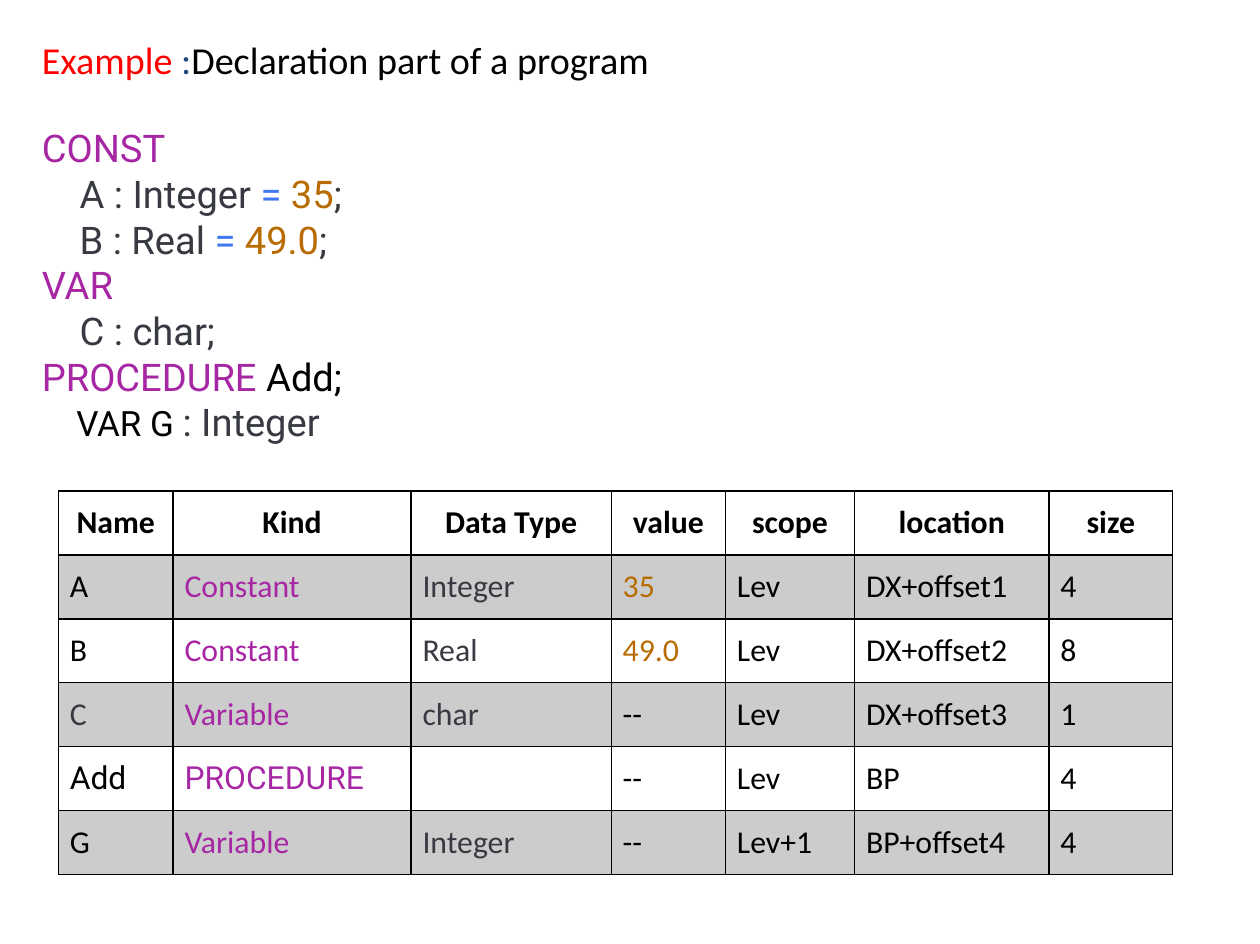
"""Build a slide showing a declaration part and its symbol table."""
from lxml.etree import SubElement
from pptx import Presentation
from pptx.dml.color import RGBColor
from pptx.enum.text import MSO_ANCHOR, MSO_AUTO_SIZE, PP_ALIGN
from pptx.oxml.ns import qn
from pptx.util import Cm, Pt

COLORS = {
    "black": "000000", "red": "FF0000", "navy": "1F497D", "keyword": "A626A4",
    "code": "383A42", "operator": "4078F2", "number": "B76B01", "band": "CCCCCC",
}
TITLE = [("Example", "red"), (" :", "navy"), ("Declaration part of a program", "black")]
CODE = [
    [("CONST", "keyword")],
    [("    A : Integer ", "code"), ("= ", "operator"), ("35", "number"), (";", "code")],
    [("    B : Real ", "code"), ("= ", "operator"), ("49.0", "number"), (";", "code")],
    [("VAR", "keyword")],
    [("    C : char;", "code")],
    [("PROCEDURE", "keyword"), (" Add;", "black")],
    [("    VAR G ", "black", 22), (": Integer", "code")],
]
SYMBOLS = [
    ("Name", "Kind", "Data Type", "value", "scope", "location", "size"),
    ("A", "Constant", "Integer", "35", "Lev", "DX+offset1", "4"),
    ("B", "Constant", "Real", "49.0", "Lev", "DX+offset2", "8"),
    ("C", "Variable", "char", "--", "Lev", "DX+offset3", "1"),
    ("Add", "PROCEDURE", "", "--", "Lev", "BP", "4"),
    ("G", "Variable", "Integer", "--", "Lev+1", "BP+offset4", "4"),
]
COLUMN_WIDTHS = (2.55, 5.29, 4.45, 2.54, 2.87, 4.32, 2.75)
COLUMN_COLORS = ("black", "keyword", "code", "number", "black", "black", "black")
EXCEPTIONS = {"C": "code", "--": "black"}
ROBOTO_CELLS = ("Add", "PROCEDURE")
ROW_HEIGHT = 1.42


def add_run(paragraph, text, color, size=24, font="Roboto", bold=False):
    run = paragraph.add_run()
    run.text = text
    run.font.name = font
    run.font.size = Pt(size)
    run.font.bold = bold
    run.font.color.rgb = RGBColor.from_string(COLORS[color])


def place(shape, top, height):
    shape.left, shape.top = Cm(0.65), Cm(top)
    shape.width, shape.height = Cm(23.11), Cm(height)
    frame = shape.text_frame
    frame.word_wrap = True
    frame.auto_size = MSO_AUTO_SIZE.NONE
    frame.vertical_anchor = MSO_ANCHOR.TOP
    frame.margin_left = frame.margin_right = Cm(0.28)
    frame.margin_top = frame.margin_bottom = Cm(0.15)
    return frame


def set_borders(cell, top, bottom):
    properties = cell._tc.get_or_add_tcPr()
    for side, width in (("L", 1), ("R", 1), ("T", top), ("B", bottom)):
        line = SubElement(properties, qn(f"a:ln{side}"), w=str(Pt(width)))
        fill = SubElement(line, qn("a:solidFill"))
        SubElement(fill, qn("a:srgbClr"), val=COLORS["black"])


def add_title(slide):
    paragraph = place(slide.shapes.title, 0.67, 1.35).paragraphs[0]
    paragraph.alignment = PP_ALIGN.LEFT
    for text, color in TITLE:
        add_run(paragraph, text, color, font="Calibri")


def add_code(slide):
    frame = place(slide.placeholders[1], 2.62, 7.46)
    for index, line in enumerate(CODE):
        paragraph = frame.add_paragraph() if index else frame.paragraphs[0]
        properties = paragraph._p.get_or_add_pPr()
        properties.set("marL", "0")
        properties.set("indent", "0")
        SubElement(properties, qn("a:buNone"))
        paragraph.space_before = Pt(0)
        paragraph.line_spacing = 1.0
        for part in line:
            add_run(paragraph, *part)


def fill_cell(cell, text, row, column):
    header = row == 0
    set_borders(cell, 2 if row == 1 else 1, 2 if header else 1)
    if row % 2:
        cell.fill.solid()
        cell.fill.fore_color.rgb = RGBColor.from_string(COLORS["band"])
    else:
        cell.fill.background()
    cell.vertical_anchor = MSO_ANCHOR.MIDDLE
    paragraph = cell.text_frame.paragraphs[0]
    paragraph.alignment = PP_ALIGN.CENTER if header else PP_ALIGN.LEFT
    if text:
        color = "black" if header else EXCEPTIONS.get(text, COLUMN_COLORS[column])
        font = "Roboto" if text in ROBOTO_CELLS else "Calibri"
        add_run(paragraph, text, color, 20, font, header)


def add_symbol_table(slide):
    table = slide.shapes.add_table(
        len(SYMBOLS), len(COLUMN_WIDTHS), Cm(1.3), Cm(10.92),
        Cm(sum(COLUMN_WIDTHS)), Cm(ROW_HEIGHT * len(SYMBOLS))).table
    table.horz_banding = False
    for column, width in zip(table.columns, COLUMN_WIDTHS):
        column.width = Cm(width)
    for row, values in enumerate(SYMBOLS):
        table.rows[row].height = Cm(ROW_HEIGHT)
        for column, text in enumerate(values):
            fill_cell(table.cell(row, column), text, row, column)


def main():
    presentation = Presentation()
    presentation.slide_width, presentation.slide_height = Pt(794), Pt(595)
    slide = presentation.slides.add_slide(presentation.slide_layouts[1])
    add_title(slide)
    add_code(slide)
    add_symbol_table(slide)
    presentation.save("out.pptx")


if __name__ == "__main__":
    main()
